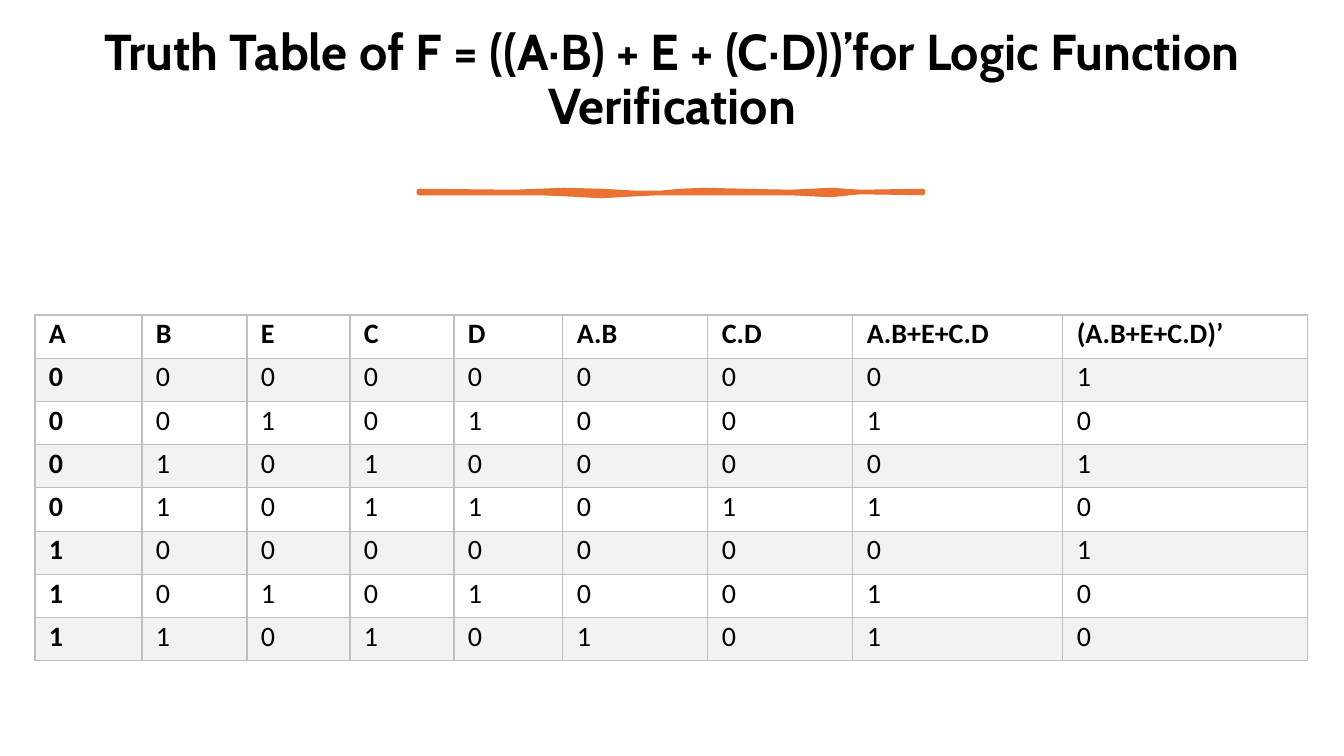
import lxml.etree
import pptx
import pptx.dml.color
import pptx.enum.text
import pptx.oxml.ns
import pptx.util

EMU_PER_PX = 914400 / 100.8
INK, ACCENT, BAND, GRID = "000000", "E97132", "F2F2F2", "BFBFBF"

HEADINGS = ["A", "B", "E", "C", "D", "A.B", "C.D", "A.B+E+C.D", "(A.B+E+C.D)’"]
OUTCOMES = ["000000001", "001010010", "010100001", "010110110",
            "100000001", "101010010", "110101010"]
COLUMN_WIDTHS = [107, 105, 103, 104, 109, 145, 145, 210, 245]

STROKE_TOP = [(0, 0), (96, 1), (120, 0), (145, -1), (182, 0), (218, 2), (240, 2),
              (262, 0), (285, -1), (325, 0), (371, 1), (392, 0), (412, -1), (441, 1), (504, 0)]
STROKE_BOTTOM = [(504, 2), (441, 1), (412, 4), (371, 2), (285, 2), (240, 2),
                 (218, 3), (182, 5), (145, 3), (120, 2), (0, 2)]


def px(length):
    return pptx.util.Emu(round(length * EMU_PER_PX))


def color(hex_code):
    return pptx.dml.color.RGBColor.from_string(hex_code)


def style(paragraph, face, size, bold):
    paragraph.font.name = face
    paragraph.font.size = pptx.util.Pt(size)
    paragraph.font.bold = bold
    paragraph.font.color.rgb = color(INK)


def add_heading(slide, left, top, width, height):
    heading = slide.shapes.title
    heading.left, heading.top = px(left), px(top)
    heading.width, heading.height = px(width), px(height)
    frame = heading.text_frame
    frame.word_wrap = True
    frame.auto_size = pptx.enum.text.MSO_AUTO_SIZE.NONE
    frame.vertical_anchor = pptx.enum.text.MSO_ANCHOR.MIDDLE
    frame.margin_top, frame.margin_bottom = px(0), px(68)
    frame.text = "Truth Table of F = ((A·B) + E + (C·D))’for Logic Function Verification"
    paragraph = frame.paragraphs[0]
    paragraph.alignment = pptx.enum.text.PP_ALIGN.CENTER
    paragraph.line_spacing = 0.9
    style(paragraph, "Cabin", 36, True)


def add_brush_stroke(slide, left, top):
    outline = [(left + x, top + y) for x, y in STROKE_TOP + STROKE_BOTTOM]
    builder = slide.shapes.build_freeform(*outline[0], scale=EMU_PER_PX)
    builder.add_line_segments(outline[1:], close=True)
    stroke = builder.convert_to_shape()
    stroke.shadow.inherit = False
    stroke.fill.solid()
    stroke.fill.fore_color.rgb = color(ACCENT)
    stroke.line.color.rgb = color(ACCENT)
    stroke.line.width = pptx.util.Pt(3.25)
    edge = stroke.line._get_or_add_ln()
    lxml.etree.SubElement(edge, pptx.oxml.ns.qn("a:round"))


def add_borders(cell):
    qn = pptx.oxml.ns.qn
    properties = cell._tc.get_or_add_tcPr()
    for side in ("a:lnL", "a:lnR", "a:lnT", "a:lnB"):
        border = lxml.etree.SubElement(properties, qn(side), w=str(pptx.util.Pt(1)))
        fill = lxml.etree.SubElement(border, qn("a:solidFill"))
        lxml.etree.SubElement(fill, qn("a:srgbClr"), val=GRID)


def add_truth_table(slide, left, top, height):
    rows = [HEADINGS] + OUTCOMES
    table = slide.shapes.add_table(
        len(rows), len(HEADINGS), px(left), px(top), px(sum(COLUMN_WIDTHS)), px(height)).table
    table.first_row = table.horz_banding = False
    for column, width in zip(table.columns, COLUMN_WIDTHS):
        column.width = px(width)
    for r, values in enumerate(rows):
        table.rows[r].height = px(height / len(rows))
        for c, value in enumerate(values):
            cell = table.cell(r, c)
            cell.margin_left = cell.margin_right = px(14)
            cell.margin_top, cell.margin_bottom = px(2), px(0)
            add_borders(cell)
            if r % 2:
                cell.fill.solid()
                cell.fill.fore_color.rgb = color(BAND)
            else:
                cell.fill.background()
            cell.text = value
            style(cell.text_frame.paragraphs[0], "Calibri", 20, r == 0 or c == 0)


def main():
    deck = pptx.Presentation()
    deck.slide_width, deck.slide_height = px(1344), px(756)
    slide = deck.slides.add_slide(deck.slide_layouts[5])
    add_heading(slide, left=71, top=46, width=1202, height=138)
    add_brush_stroke(slide, left=419, top=191)
    add_truth_table(slide, left=35, top=315, height=346)
    deck.save("out.pptx")


if __name__ == "__main__":
    main()
